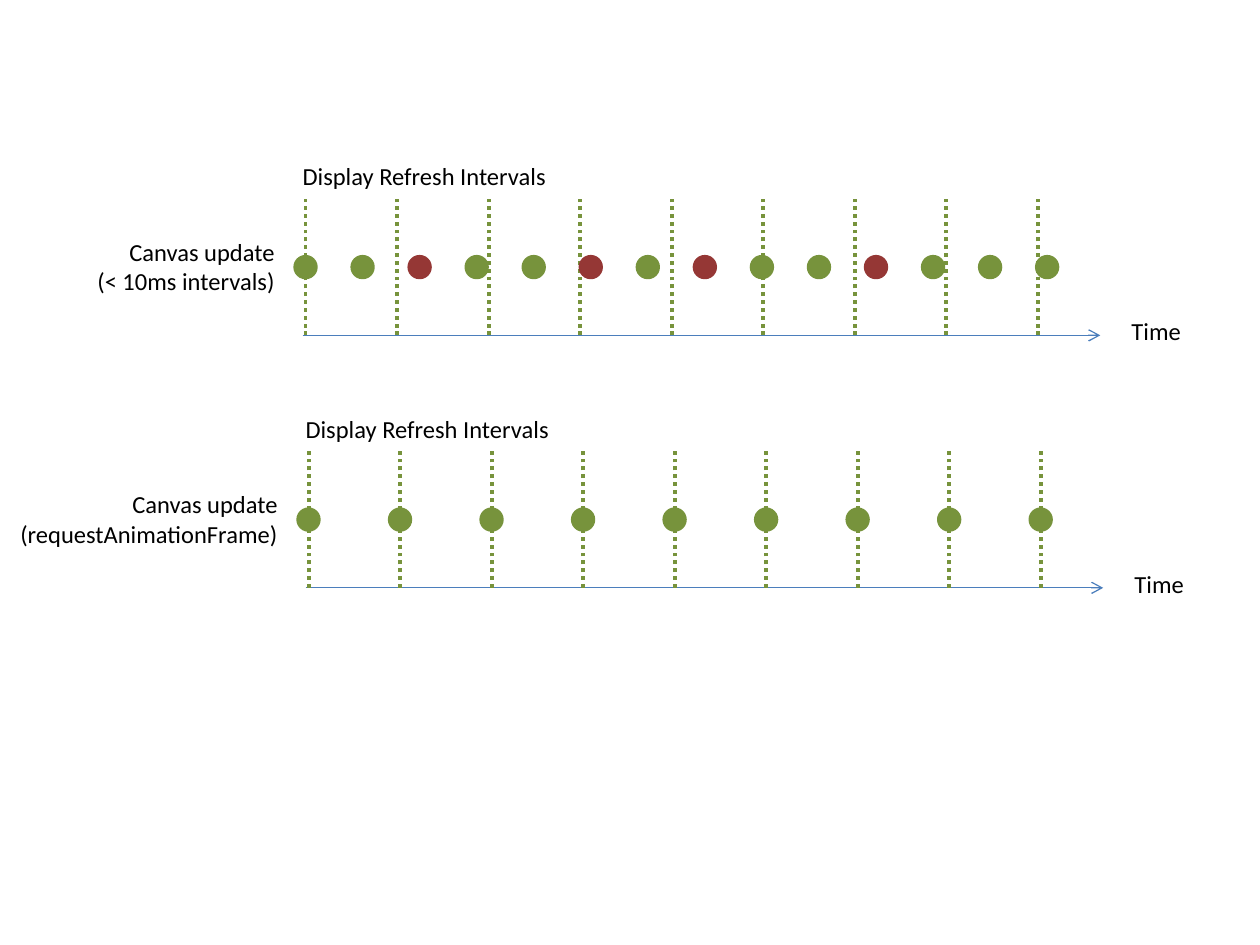
from dataclasses import dataclass

from lxml import etree
from pptx import Presentation
from pptx.dml.color import RGBColor
from pptx.enum.dml import MSO_LINE
from pptx.enum.shapes import MSO_CONNECTOR, MSO_SHAPE
from pptx.enum.text import MSO_AUTO_SIZE, PP_ALIGN
from pptx.oxml.ns import qn
from pptx.util import Cm, Pt


@dataclass(frozen=True)
class Theme:
    font: str = "Calibri"
    size: float = 14
    text: RGBColor = RGBColor(0, 0, 0)
    axis: RGBColor = RGBColor(0x4B, 0x7E, 0xBC)
    shown: RGBColor = RGBColor(0x77, 0x93, 0x3C)
    dropped: RGBColor = RGBColor(0x95, 0x37, 0x35)
    axis_width: float = 0.75
    tick_width: float = 2.25
    dot_width: float = 2


THEME = Theme()
TICKS = 9
TICK_INSET = 0.06
TICK_GAP = 14.76 / (TICKS - 1)
FAST_GAP = 1.15
DOT = 0.42


def set_attrs(obj, attrs):
    for name, value in attrs.items():
        setattr(obj, name, value)


def add_label(slide, text, x, y, w, h, align=PP_ALIGN.LEFT):
    tf = slide.shapes.add_textbox(Cm(x), Cm(y), Cm(w), Cm(h)).text_frame
    set_attrs(tf, {"word_wrap": False, "auto_size": MSO_AUTO_SIZE.SHAPE_TO_FIT_TEXT})
    p = tf.paragraphs[0]
    set_attrs(p, {"text": text, "alignment": align})
    for r in p.runs:
        set_attrs(r.font, {"name": THEME.font, "size": Pt(THEME.size)})
        r.font.color.rgb = THEME.text


def add_line(slide, x1, y1, x2, y2, color, width):
    cx = slide.shapes.add_connector(
        MSO_CONNECTOR.STRAIGHT, Cm(x1), Cm(y1), Cm(x2), Cm(y2))
    cx.line.color.rgb = color
    cx.line.width = Pt(width)
    etree.SubElement(cx._element.spPr, qn("a:effectLst"))
    return cx.line


def add_dot(slide, x, y, color):
    sp = slide.shapes.add_shape(
        MSO_SHAPE.OVAL, Cm(x - DOT / 2), Cm(y - DOT / 2), Cm(DOT), Cm(DOT))
    sp.shadow.inherit = False
    sp.fill.solid()
    sp.fill.fore_color.rgb = color
    sp.line.color.rgb = color
    sp.line.width = Pt(THEME.dot_width)


def add_timeline(slide, x, y, w, h, label, label_w, title_w, dots, gap, dropped=()):
    base, start = y + h, x + TICK_INSET
    axis = add_line(slide, x, base, x + w, base, THEME.axis, THEME.axis_width)
    etree.SubElement(axis._get_or_add_ln(), qn("a:tailEnd"), type="arrow")
    add_label(slide, "Time", x + w + 0.38, base - 0.51, 1.52, 0.86)

    for i in range(TICKS):
        tick_x = start + i * TICK_GAP
        tick = add_line(slide, tick_x, base, tick_x, y, THEME.shown, THEME.tick_width)
        tick.dash_style = MSO_LINE.ROUND_DOT

    add_label(slide, "Display Refresh Intervals", x - 0.25, y - 0.88, title_w, 0.86)
    for i in range(dots):
        color = THEME.dropped if i in dropped else THEME.shown
        add_dot(slide, start + i * gap, y + h / 2, color)
    add_label(slide, label, x - 0.31 - label_w, y + 0.64, label_w, 1.45, PP_ALIGN.RIGHT)


def main():
    prs = Presentation()
    set_attrs(prs, {"slide_width": Cm(25.4), "slide_height": Cm(19.05)})
    slide = prs.slides.add_slide(prs.slide_layouts[6])
    add_timeline(slide, 6.1, 4.01, 16.08, 2.75, "Canvas update\v(< 10ms intervals)",
                 4.11, 5.61, 14, FAST_GAP, dropped=(2, 5, 7, 10))
    add_timeline(slide, 6.16, 9.1, 16.08, 2.75, "Canvas update\v(requestAnimationFrame)",
                 5.77, 5.46, TICKS, TICK_GAP)
    prs.save("out.pptx")


if __name__ == "__main__":
    main()
